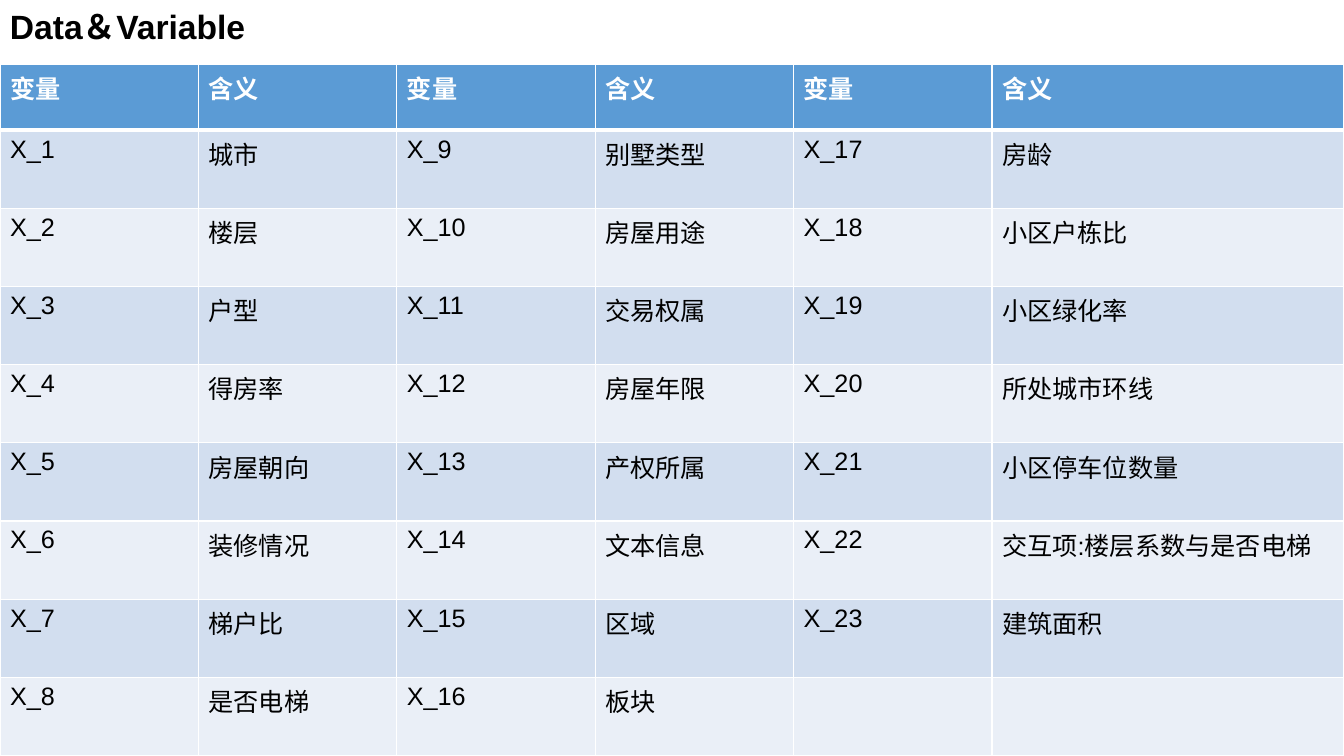
from pptx import Presentation
from pptx import util as u
from pptx.dml.color import RGBColor
from pptx.enum import text
from pptx.oxml import parse_xml
from pptx.oxml.ns import nsdecls

COLORS = {
    "header": "5B9BD5",
    "odd": "D2DEEF",
    "even": "EAEFF7",
    "white": "FFFFFF",
    "black": "000000",
}
MEANINGS = [
    ["城市", "楼层", "户型", "得房率", "房屋朝向", "装修情况", "梯户比", "是否电梯"],
    ["别墅类型", "房屋用途", "交易权属", "房屋年限", "产权所属", "文本信息", "区域", "板块"],
    ["房龄", "小区户栋比", "小区绿化率", "所处城市环线", "小区停车位数量",
     "交互项:楼层系数与是否电梯", "建筑面积"],
]
VARIABLE_ROWS = 8


def write(frame, words, size=18, color="black", bold=False):
    span = frame.paragraphs[0].add_run()
    span.text = words
    span.font.name = "Arial"
    span.font.size = u.Pt(size)
    span.font.bold = bold
    span.font.color.rgb = RGBColor.from_string(COLORS[color])


def add_border(cell, side, width):
    cell._tc.get_or_add_tcPr().append(parse_xml(
        f'<a:ln{side} {nsdecls("a")} w="{u.Pt(width)}"><a:solidFill>'
        f'<a:srgbClr val="{COLORS["white"]}"/></a:solidFill></a:ln{side}>'))


deck = Presentation()
deck.slide_width = u.Cm(33.87)
deck.slide_height = u.Cm(19.05)
page = deck.slides.add_slide(deck.slide_layouts[6])

table = page.shapes.add_table(
    VARIABLE_ROWS + 1, 6, u.Cm(0), u.Cm(1.63), u.Cm(33.87), u.Cm(17.42)).table
for column in table.columns:
    column.width = u.Cm(5)
table.columns[5].width = u.Cm(8.87)
for row in table.rows:
    row.height = u.Cm(1.97)
table.rows[0].height = u.Cm(1.65)

for row_index in range(VARIABLE_ROWS + 1):
    for column_index in range(6):
        cell = table.cell(row_index, column_index)
        for side in ("L", "R"):
            add_border(cell, side, 1)
        add_border(cell, "T", 3 if row_index == 1 else 1)
        add_border(cell, "B", 3 if row_index == 0 else 1)
        band = "header" if row_index == 0 else "odd" if row_index % 2 else "even"
        cell.fill.solid()
        cell.fill.fore_color.rgb = RGBColor.from_string(COLORS[band])

for group, meanings in enumerate(MEANINGS):
    for offset, heading in enumerate(["变量", "含义"]):
        write(table.cell(0, 2 * group + offset).text_frame, heading,
              color="white", bold=True)
    for row_index, meaning in enumerate(meanings, start=1):
        number = group * VARIABLE_ROWS + row_index
        write(table.cell(row_index, 2 * group).text_frame, f"X_{number}")
        write(table.cell(row_index, 2 * group + 1).text_frame, meaning)

box = page.shapes.add_textbox(u.Cm(0), u.Cm(0.03), u.Cm(7.26), u.Cm(1.27))
box.text_frame.word_wrap = True
box.text_frame.auto_size = text.MSO_AUTO_SIZE.SHAPE_TO_FIT_TEXT
write(box.text_frame, "Data＆Variable", size=24, bold=True)

deck.save("out.pptx")
